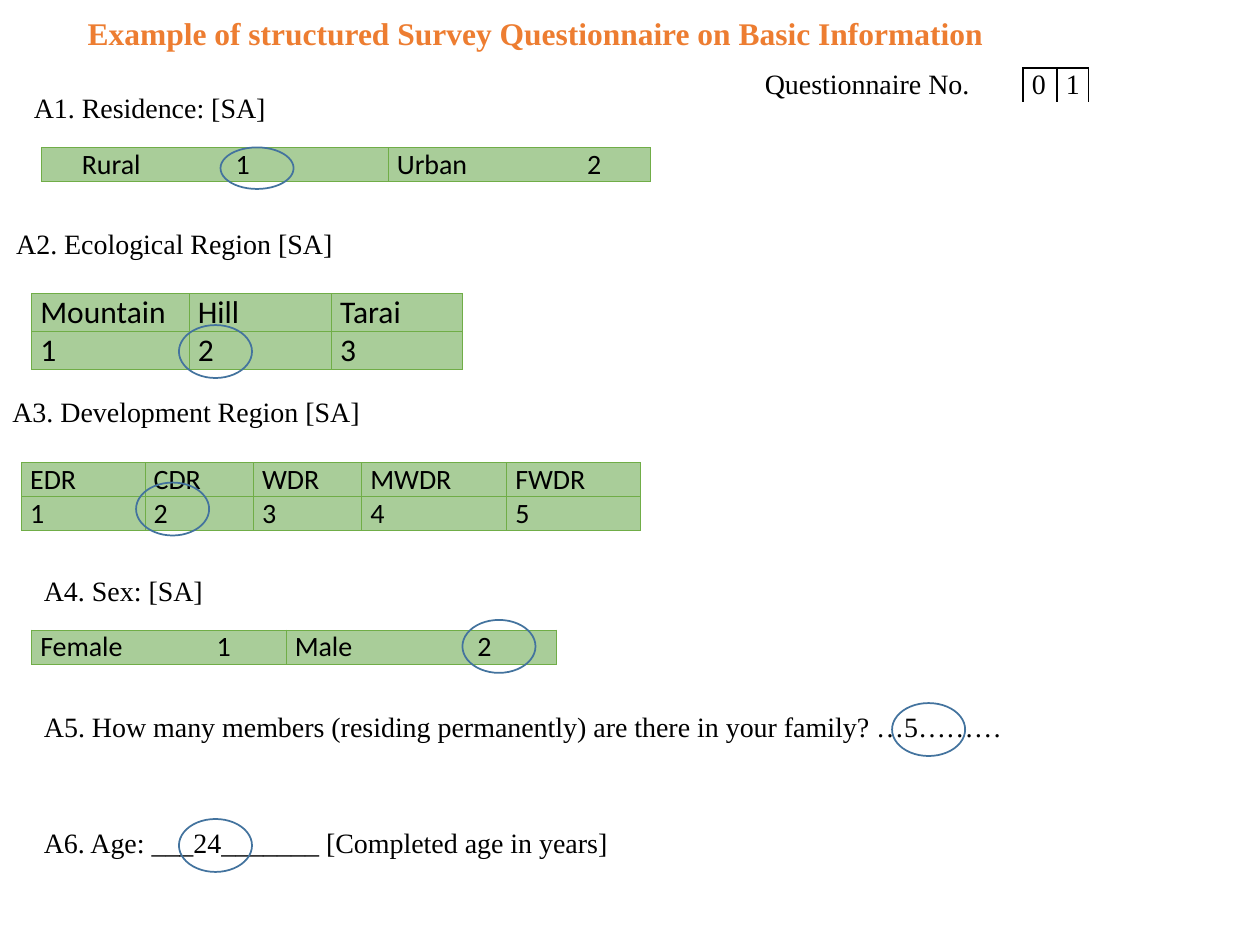
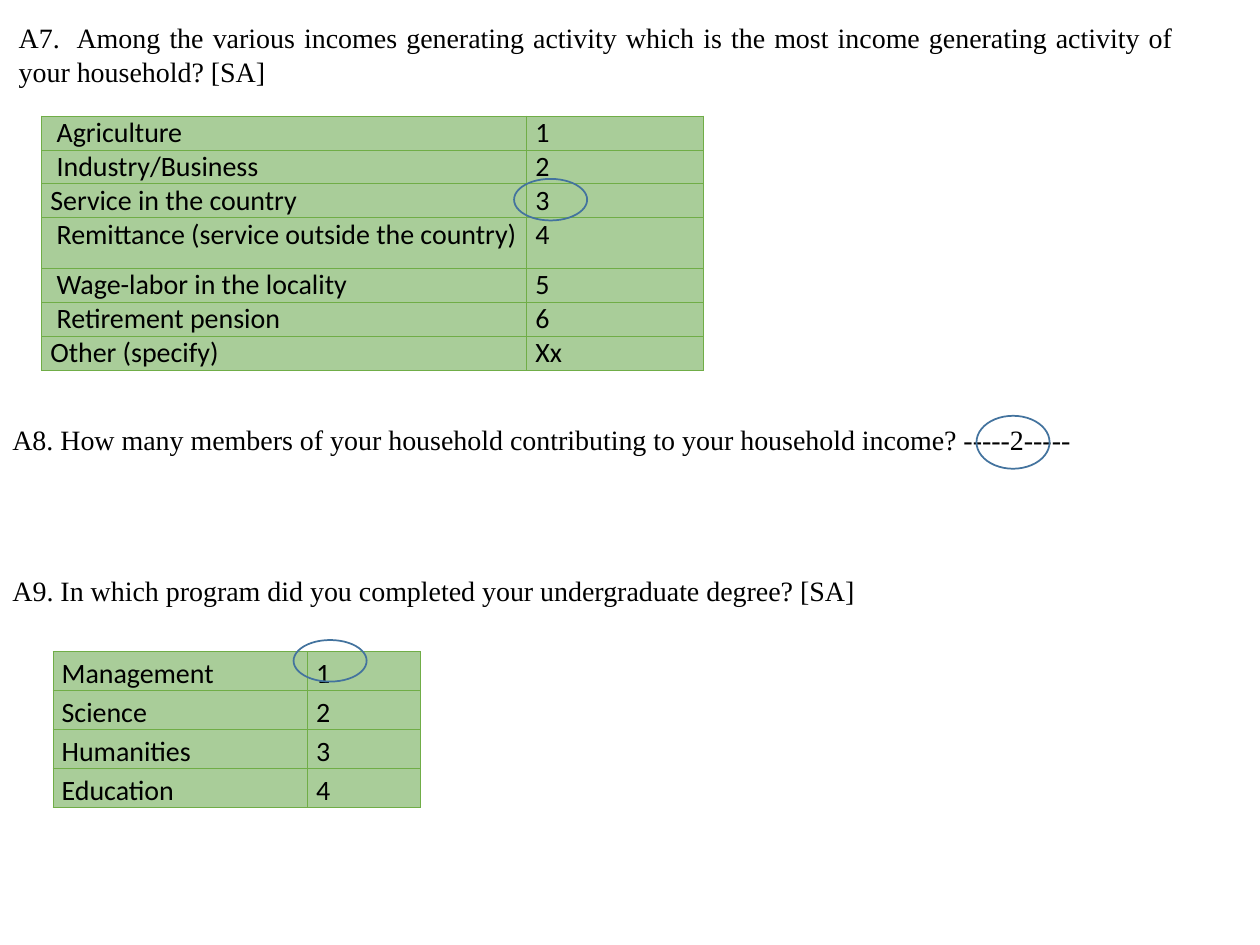
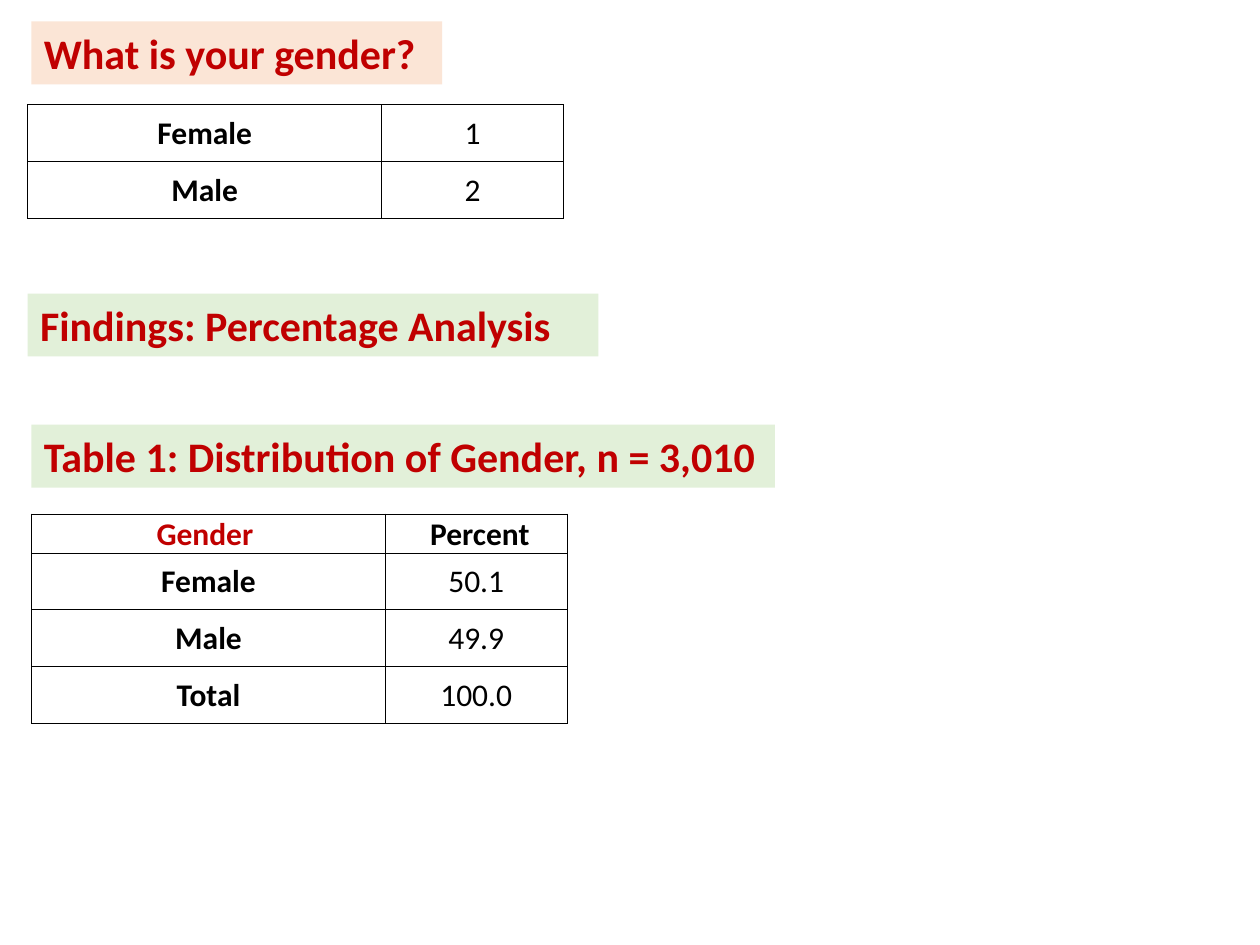
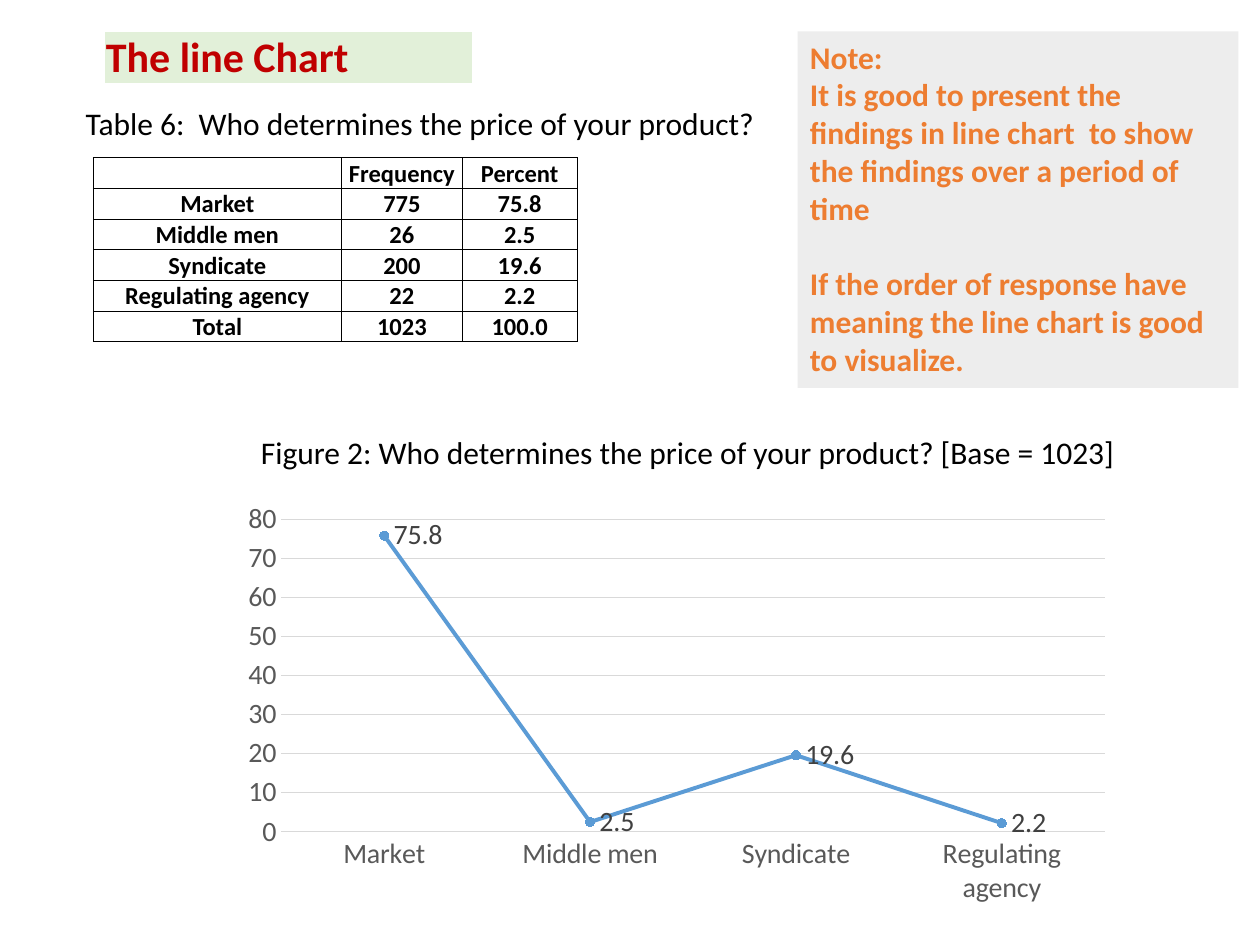
from dataclasses import dataclass

from lxml import etree
from pptx import Presentation
from pptx.chart.data import CategoryChartData
from pptx.dml.color import RGBColor
from pptx.enum.chart import XL_CHART_TYPE, XL_LABEL_POSITION, XL_MARKER_STYLE, XL_TICK_MARK
from pptx.enum.shapes import MSO_SHAPE
from pptx.enum.text import MSO_ANCHOR, MSO_AUTO_SIZE, PP_ALIGN
from pptx.oxml.ns import qn
from pptx.util import Inches, Pt

LEFT, CENTER, JUSTIFY = PP_ALIGN.LEFT, PP_ALIGN.CENTER, PP_ALIGN.JUSTIFY
TOP, MIDDLE, BOTTOM = MSO_ANCHOR.TOP, MSO_ANCHOR.MIDDLE, MSO_ANCHOR.BOTTOM
FIT_SHAPE = MSO_AUTO_SIZE.SHAPE_TO_FIT_TEXT
ELLIPSE, RECTANGLE = MSO_SHAPE.OVAL, MSO_SHAPE.RECTANGLE
LINE_MARKERS = XL_CHART_TYPE.LINE_MARKERS
CIRCLE = XL_MARKER_STYLE.CIRCLE
NO_TICK = XL_TICK_MARK.NONE
RIGHT_LABEL = XL_LABEL_POSITION.RIGHT
NO_TABLE_STYLE = "{2D5ABB26-0587-4C30-8999-92F81FD0307C}"


@dataclass(frozen=True)
class Theme:
    sans: str = "Calibri"
    serif: str = "Times New Roman"
    ink: str = "000000"
    orange: str = "ED7D31"
    red: str = "C00000"
    answer_fill: str = "A9CD99"
    answer_edge: str = "70AD47"
    ring: str = "43739E"
    pale_green: str = "E2F0D9"
    pale_orange: str = "FBE5D6"
    pale_grey: str = "EDEDED"
    series: str = "5B9BD5"
    grid: str = "D9D9D9"
    axis_text: str = "595959"
    label_text: str = "404040"
    heading: int = 24
    large: int = 18
    body: int = 16
    small: int = 14


theme = Theme()


def write(frame, text, size=theme.body, color=theme.ink, font=theme.sans, bold=False,
          align=LEFT, spacing=None, tabs=()):
    for index, line in enumerate(text.split("\n")):
        paragraph = frame.add_paragraph() if index else frame.paragraphs[0]
        paragraph.alignment = align
        if spacing:
            paragraph.line_spacing = spacing
        if tabs:
            stops = etree.SubElement(paragraph._p.get_or_add_pPr(), qn("a:tabLst"))
            for stop in tabs:
                etree.SubElement(stops, qn("a:tab"), pos=str(Inches(stop)), algn="l")
        if not line:
            etree.SubElement(paragraph._p, qn("a:endParaRPr"), sz=str(size * 100))
            continue
        run = paragraph.add_run()
        run.text = line
        run.font.size = Pt(size)
        run.font.name = font
        run.font.bold = bold
        run.font.color.rgb = RGBColor.from_string(color)


def add_grid(slide, left, top, widths, heights, rows, fill=None, edge=theme.ink, edges="LRTB",
             edge_width=0.5, anchor=MIDDLE, margins=(0.01, 0.01, 0.01, 0), **text_format):
    table = slide.shapes.add_table(len(heights), len(widths), Inches(left), Inches(top),
                                   Inches(sum(widths)), Inches(sum(heights))).table
    table.first_row = table.horz_banding = False
    table._tbl.tblPr.find(qn("a:tableStyleId")).text = NO_TABLE_STYLE
    for column, width in zip(table.columns, widths):
        column.width = Inches(width)
    for row, height in zip(table.rows, heights):
        row.height = Inches(height)
    for r, row in enumerate(rows):
        for c, entry in enumerate(row):
            text, changes = entry if isinstance(entry, tuple) else (entry, {})
            cell_format = {"edges": edges, **text_format, **changes}
            cell_edges = cell_format.pop("edges")
            cell = table.cell(r, c)
            cell.vertical_anchor = anchor
            cell.margin_left, cell.margin_top, cell.margin_right, cell.margin_bottom = map(Inches, margins)
            if fill:
                cell.fill.solid()
                cell.fill.fore_color.rgb = RGBColor.from_string(fill)
            else:
                cell.fill.background()
            for position, side in enumerate(cell_edges):
                border = etree.Element(qn(f"a:ln{side}"), w=str(Pt(edge_width)))
                paint = etree.SubElement(border, qn("a:solidFill"))
                etree.SubElement(paint, qn("a:srgbClr"), val=edge)
                cell._tc.get_or_add_tcPr().insert(position, border)
            write(cell.text_frame, text, **cell_format)
    return table


prs = Presentation()
prs.slide_width, prs.slide_height = Inches(10), Inches(7.5)
survey, income, gender, line_chart = [prs.slides.add_slide(prs.slide_layouts[6]) for _ in range(4)]

title_format = {"size": theme.large, "color": theme.orange, "bold": True, "align": CENTER}
justified = {"align": JUSTIFY}
questions = [
    (survey, 0.56, 0.06, 7.38, 0.4, "Example of structured Survey Questionnaire on Basic Information", title_format),
    (survey, 0.17, 0.67, 2.07, 0.37, "A1. Residence: [SA]", justified),
    (survey, 0.03, 1.75, 2.75, 0.37, "A2. Ecological Region [SA]", justified),
    (survey, 0, 3.08, 3, 0.37, "A3. Development Region [SA]", justified),
    (survey, 0.25, 4.5, 1.53, 0.37, "A4. Sex: [SA]", justified),
    (survey, 0.25, 5.58, 7.92, 0.37,
     "A5. How many members (residing permanently) are there in your family? …5………", {}),
    (survey, 0.25, 6.5, 4.74, 0.37, "A6. Age: ___24_______ [Completed age in years]", {}),
    (income, 0.05, 0.11, 9.36, 0.64,
     "A7.  Among the various incomes generating activity which is the most income generating "
     "activity of your household? [SA]", justified),
    (income, 0, 3.3, 8.73, 0.37,
     "A8. How many members of your household contributing to your household income? -----2-----", {}),
    (income, 0, 4.5, 6.98, 0.37,
     "A9. In which program did you completed your undergraduate degree? [SA]", {}),
]
for slide, left, top, width, height, text, text_format in questions:
    frame = slide.shapes.add_textbox(Inches(left), Inches(top), Inches(width), Inches(height)).text_frame
    frame.word_wrap = height > 0.5
    frame.auto_size = FIT_SHAPE
    frame.vertical_anchor = MIDDLE
    write(frame, text, font=theme.serif, **text_format)

activities = [" Agriculture", " Industry/Business", "Service in the country",
              " Remittance (service outside the country)", " Wage-labor in the locality",
              " Retirement pension", "Other (specify)"]
programs = ["Management", "Science", "Humanities", "Education"]
answers = [
    (survey, 0.33, 1.17, [2.75, 2.08], [0.27],
     [[("\tRural\t1", {"tabs": (0.25, 1.47)}), ("Urban\t2", {"tabs": (1.51,)})]], {}),
    (survey, 0.25, 2.33, [1.25, 1.13, 1.04], [0.3] * 2,
     [["Mountain", "Hill", "Tarai"], ["1", "2", "3"]], {"size": theme.large}),
    (survey, 0.17, 3.67, [0.98, 0.86, 0.86, 1.15, 1.06], [0.27] * 2,
     [["EDR", "CDR", "WDR", "MWDR", "FWDR"], ["1", "2", "3", "4", "5"]], {}),
    (survey, 0.25, 5, [2.02, 2.15], [0.27],
     [[("Female\t1", {"tabs": (1.4,)}), ("Male\t2", {"tabs": (1.45,)})]], {}),
    (income, 0.33, 0.92, [3.85, 1.4], [0.27] * 3 + [0.4] + [0.27] * 3,
     list(zip(activities, ["1", "2", "3", "4", "5", "6", "Xx"])), {}),
    (income, 0.42, 5.17, [2.02, 0.9], [0.31] * 4,
     [[program, str(code)] for code, program in enumerate(programs, 1)], {"spacing": 1.15}),
]
side_margins = (0.07, 0, 0.07, 0)
for slide, left, top, widths, heights, rows, text_format in answers:
    # noqa
    add_grid(slide, left, top, widths, heights, [list(row) for row in rows], fill=theme.answer_fill,
             edge=theme.answer_edge, anchor=TOP, margins=side_margins, align=JUSTIFY, **text_format)

digit_box = {"edges": "LRT"}
number_table = add_grid(
    survey, 6, 0.54, [2.12, 0.27, 0.25, 0.09, 0.34, 0.34, 0.25], [0.27] * 2,
    [["Questionnaire No.", ("0", digit_box), ("1", digit_box)] + [""] * 4, [""] * 7],
    edges="", edge_width=1, margins=side_margins, font=theme.serif, align=JUSTIFY)
number_table.cell(0, 3).merge(number_table.cell(0, 6))
number_table.cell(1, 0).merge(number_table.cell(1, 3))

rings = [
    (survey, 1.75, 1.17, 0.33), (survey, 1.42, 2.58, 0.42), (survey, 1.08, 3.83, 0.42),
    (survey, 3.67, 4.92, 0.42), (survey, 7.08, 5.58, 0.42), (survey, 1.42, 6.5, 0.42),
    (income, 4.08, 1.42, 0.33), (income, 7.75, 3.3, 0.42), (income, 2.33, 5.08, 0.33),
]
for slide, left, top, height in rings:
    ring = slide.shapes.add_shape(ELLIPSE, Inches(left), Inches(top), Inches(0.58), Inches(height))
    ring.shadow.inherit = False
    ring.fill.background()
    ring.line.color.rgb = RGBColor.from_string(theme.ring)
    ring.line.width = Pt(1)

heading = {"size": theme.heading, "color": theme.red, "bold": True}
note_text = ("Note:\n"
             "It is good to present the findings in line chart  to show the findings over a period of time\n"
             "If the order of response have meaning the line chart is good to visualize.")
panels = [
    (gender, 0.22, 2.33, 4.53, 0.5, theme.pale_green, "Findings: Percentage Analysis", {**heading, "align": JUSTIFY}),
    (gender, 0.25, 0.17, 3.26, 0.5, theme.pale_orange, "What is your gender?", heading),
    (gender, 0.25, 3.37, 5.9, 0.5, theme.pale_green, "Table 1: Distribution of Gender, n = 3,010", heading),
    (line_chart, 6.33, 0.25, 3.5, 2.83, theme.pale_grey, note_text,
     {"size": theme.large, "color": theme.orange, "bold": True}),
]
for slide, left, top, width, height, fill, text, text_format in panels:
    panel = slide.shapes.add_shape(RECTANGLE, Inches(left), Inches(top), Inches(width), Inches(height))
    panel.shadow.inherit = False
    panel.fill.solid()
    panel.fill.fore_color.rgb = RGBColor.from_string(fill)
    panel.line.fill.background()
    panel.text_frame.word_wrap = True
    panel.text_frame.auto_size = FIT_SHAPE
    panel.text_frame.vertical_anchor = TOP
    write(panel.text_frame, text, **text_format)
panel.text_frame.paragraphs[1].space_after = Pt(21.6)

bold = {"bold": True}
gender_codes = [("Female", "1"), ("Male", "2")]
gender_shares = [("Female", "50.1"), ("Male", "49.9"), ("Total", "100.0")]
share_header = [("Gender ", {"bold": True, "color": theme.red}), (" Percent", bold)]
for left, top, header, records in [(0.22, 0.83, [], gender_codes),
                                   (0.25, 4.08, [share_header], gender_shares)]:
    add_grid(gender, left, top, [2.81, 1.44], [0.31] * len(header) + [0.45] * len(records),
             header + [[(name, bold), value] for name, value in records],
             size=theme.large, align=CENTER)

price_setters = [("Market", 775, 75.8), ("Middle men", 26, 2.5),
                 ("Syndicate", 200, 19.6), ("Regulating agency", 22, 2.2)]
price_rows = [["", "Frequency", "Percent"]]
price_rows += [[name, str(count), str(share)] for name, count, share in price_setters + [("Total", 1023, 100.0)]]
add_grid(line_chart, 0.74, 1.25, [1.97, 0.96, 0.91], [0.24] * len(price_rows), price_rows,
         anchor=BOTTOM, size=theme.small, bold=True, align=CENTER)

captions = [
    (0.67, 0.83, 7.58, 0.31, "Table 6:  Who determines the price of your product?", None, {"size": theme.large}),
    (0.83, 0.25, 2.92, 0.41, "The line Chart", theme.pale_green, heading),
    (1.5, 3.44, 7.92, 0.31, "Figure 2: Who determines the price of your product? [Base = 1023]", None,
     {"size": theme.large, "align": CENTER}),
]
for left, top, width, height, text, fill, text_format in captions:
    add_grid(line_chart, left, top, [width], [height], [[text]], fill=fill, edges="",
             anchor=BOTTOM, **text_format)

price_data = CategoryChartData()
price_data.categories = [name for name, _, _ in price_setters]
price_data.add_series("Series 1", [share for _, _, share in price_setters])
chart = line_chart.shapes.add_chart(LINE_MARKERS, Inches(1.83), Inches(3.92), Inches(7.08), Inches(3.33),
                                    price_data).chart
chart.has_legend = chart.has_title = False
chart.font.size = Pt(theme.body)
chart.font.name = theme.sans
chart.font.color.rgb = RGBColor.from_string(theme.ink)

setter_axis, share_axis = chart.category_axis, chart.value_axis
for axis in (setter_axis, share_axis):
    axis.major_tick_mark = axis.minor_tick_mark = NO_TICK
    axis.tick_labels.font.size = Pt(theme.body)
    axis.tick_labels.font.name = theme.sans
    axis.tick_labels.font.color.rgb = RGBColor.from_string(theme.axis_text)
share_axis.format.line.fill.background()
share_axis.has_major_gridlines = True
for line in (setter_axis.format.line, share_axis.major_gridlines.format.line):
    line.color.rgb = RGBColor.from_string(theme.grid)
    line.width = Pt(0.75)

plot = chart.plots[0]
plot.vary_by_categories = False
shares = plot.series[0]
shares.smooth = False
shares.format.line.color.rgb = RGBColor.from_string(theme.series)
shares.format.line.width = Pt(2.25)
shares.marker.style = CIRCLE
shares.marker.size = 5
shares.marker.format.fill.solid()
shares.marker.format.fill.fore_color.rgb = RGBColor.from_string(theme.series)
shares.marker.format.line.color.rgb = RGBColor.from_string(theme.series)
labels = shares.data_labels
labels.show_value = True
labels.position = RIGHT_LABEL
labels.font.size = Pt(theme.body)
labels.font.name = theme.sans
labels.font.color.rgb = RGBColor.from_string(theme.label_text)

prs.save("out.pptx")
